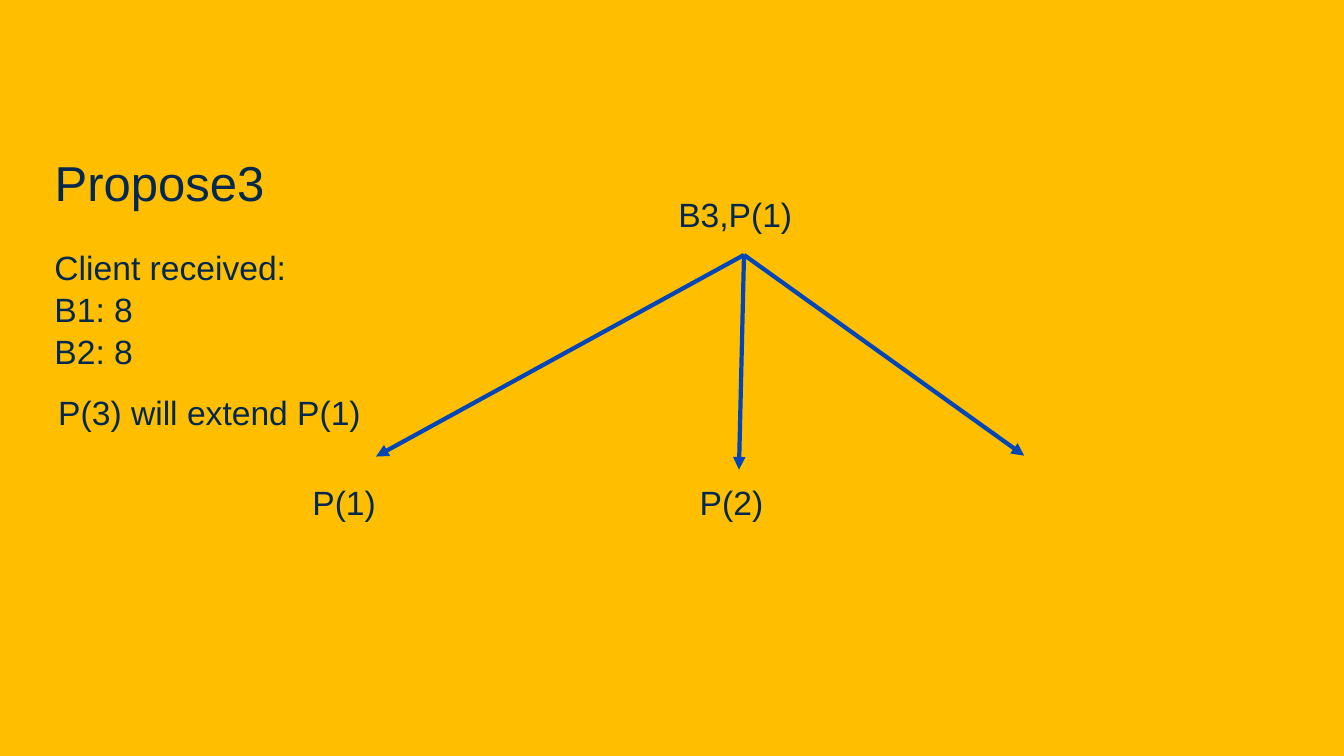
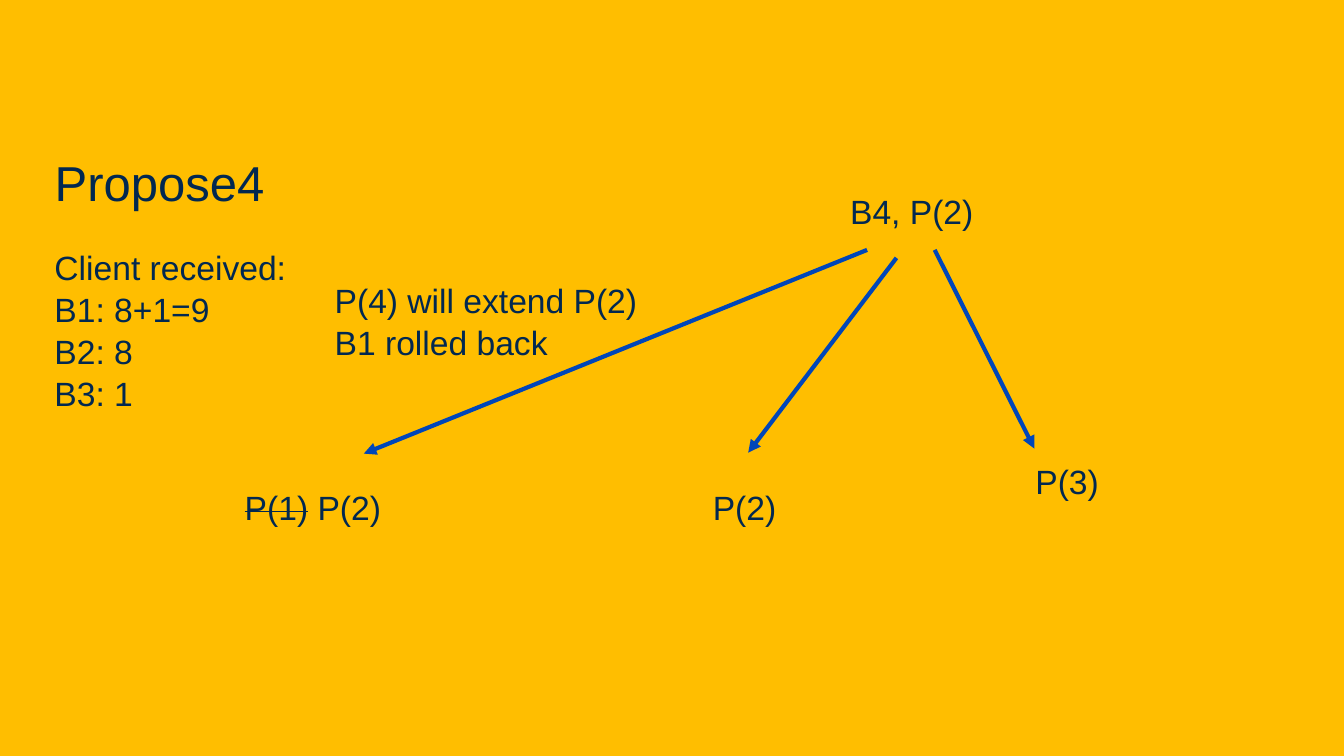
from lxml.etree import SubElement
from pptx import Presentation
from pptx.dml.color import RGBColor
from pptx.enum.shapes import MSO_CONNECTOR
from pptx.enum.text import MSO_ANCHOR, MSO_AUTO_SIZE, PP_ALIGN
from pptx.oxml.ns import qn
from pptx.util import Inches, Pt

AMBER = RGBColor(0xFF, 0xBE, 0x00)
NAVY = RGBColor(0x02, 0x28, 0x50)
BLUE = RGBColor(0x00, 0x46, 0xB9)

FONT = "Arial"
TITLE_SIZE = 35
TEXT_SIZE = 24
TITLE_SPACING = 1.1
TEXT_SPACING = 1.05
ROWS = 18
MARGIN = 1.06
LABEL_WIDTH = 2.14
LABEL_HEIGHT = 1.25
TITLE_ONLY = 5


class ProposalDeck:
    """Holds the style and current slide; lengths are cells of a 32 by 18 grid."""

    def __init__(self):
        self.presentation = Presentation()
        self.presentation.slide_width = Inches(13.33)
        self.presentation.slide_height = Inches(7.5)
        self.cell = self.presentation.slide_height / ROWS
        background = self.presentation.slide_master.background.fill
        background.solid()
        background.fore_color.rgb = AMBER
        self.slide = None

    def grid(self, *lengths):
        return [round(length * self.cell) for length in lengths]

    def add_slide(self, title):
        layout = self.presentation.slide_layouts[TITLE_ONLY]
        self.slide = self.presentation.slides.add_slide(layout)
        shape = self.slide.shapes.title
        shape.left, shape.top, shape.width, shape.height = self.grid(
            MARGIN, 3.24, 6.67, 2.33)
        shape.text_frame.text = title
        self.format_text(shape.text_frame, TITLE_SIZE, TITLE_SPACING)

    def format_text(self, text_frame, size=TEXT_SIZE, spacing=TEXT_SPACING):
        text_frame.word_wrap = True
        text_frame.auto_size = MSO_AUTO_SIZE.NONE
        text_frame.vertical_anchor = MSO_ANCHOR.TOP
        text_frame.margin_left = text_frame.margin_right = Inches(0.1)
        text_frame.margin_top = text_frame.margin_bottom = Inches(0.1)
        for paragraph in text_frame.paragraphs:
            paragraph.alignment = PP_ALIGN.LEFT
            paragraph.line_spacing = spacing
            for run in paragraph.runs:
                run.font.name = FONT
                run.font.size = Pt(size)
                run.font.color.rgb = NAVY

    def text(self, text, left, top, width=LABEL_WIDTH, height=LABEL_HEIGHT):
        box = self.slide.shapes.add_textbox(*self.grid(left, top, width, height))
        box.text_frame.text = text
        self.format_text(box.text_frame)
        return box.text_frame

    def replaced_label(self, old, new, left, top, width):
        """Write the old value struck through, followed by the new one."""
        text_frame = self.text(old, left, top, width)
        paragraph = text_frame.paragraphs[0]
        paragraph.runs[0].font._element.set("strike", "sngStrike")
        paragraph.add_run().text = f" {new}"
        self.format_text(text_frame)

    def received(self, *values):
        """List the votes that the client holds so far."""
        self.text("\n".join(("Client received:", *values)), MARGIN, 5.58, 6.9, 5.4)

    def arrow(self, start, end):
        connector = self.slide.shapes.add_connector(
            MSO_CONNECTOR.STRAIGHT, *self.grid(*start, *end))
        connector.line.color.rgb = BLUE
        connector.line.width = Pt(3)
        SubElement(connector.line._get_or_add_ln(), qn("a:tailEnd"), type="triangle")
        SubElement(connector._element.spPr, qn("a:effectLst"))

    def save(self):
        self.presentation.save("out.pptx")


def add_third_proposal(deck):
    deck.add_slide("Propose3")
    deck.received("B1: 8", "B2: 8")
    deck.text("P(3) will extend P(1)", 1.15, 9.05, 8.76, 1.44)
    deck.text("B3,P(1)", 15.91, 4.32, 3.36)
    for end in ((8.95, 10.87), (17.59, 11.18), (24.38, 10.85)):
        deck.arrow((17.71, 6.07), end)
    for text, left in (("P(1)", 7.2), ("P(2)", 16.42)):
        deck.text(text, left, 11.18)


def add_fourth_proposal(deck):
    deck.add_slide("Propose4")
    deck.received("B1: 8+1=9", "B2: 8", "B3: 1")
    deck.text("P(4) will extend P(2)\nB1 rolled back", 7.73, 6.38, 8.9, 2.64)
    deck.text("B4, P(2)", 20, 4.25, 4.27)
    for start, end in (
        ((20.64, 5.95), (8.66, 10.8)),
        ((21.34, 6.14), (17.81, 10.78)),
        ((22.25, 5.95), (24.62, 10.68)),
    ):
        deck.arrow(start, end)
    deck.replaced_label("P(1)", "P(2)", 5.59, 11.3, 4.56)
    deck.text("P(2)", 16.73, 11.3)
    deck.text("P(3)", 24.41, 10.68)


def main():
    deck = ProposalDeck()
    add_third_proposal(deck)
    add_fourth_proposal(deck)
    deck.save()


if __name__ == "__main__":
    main()
